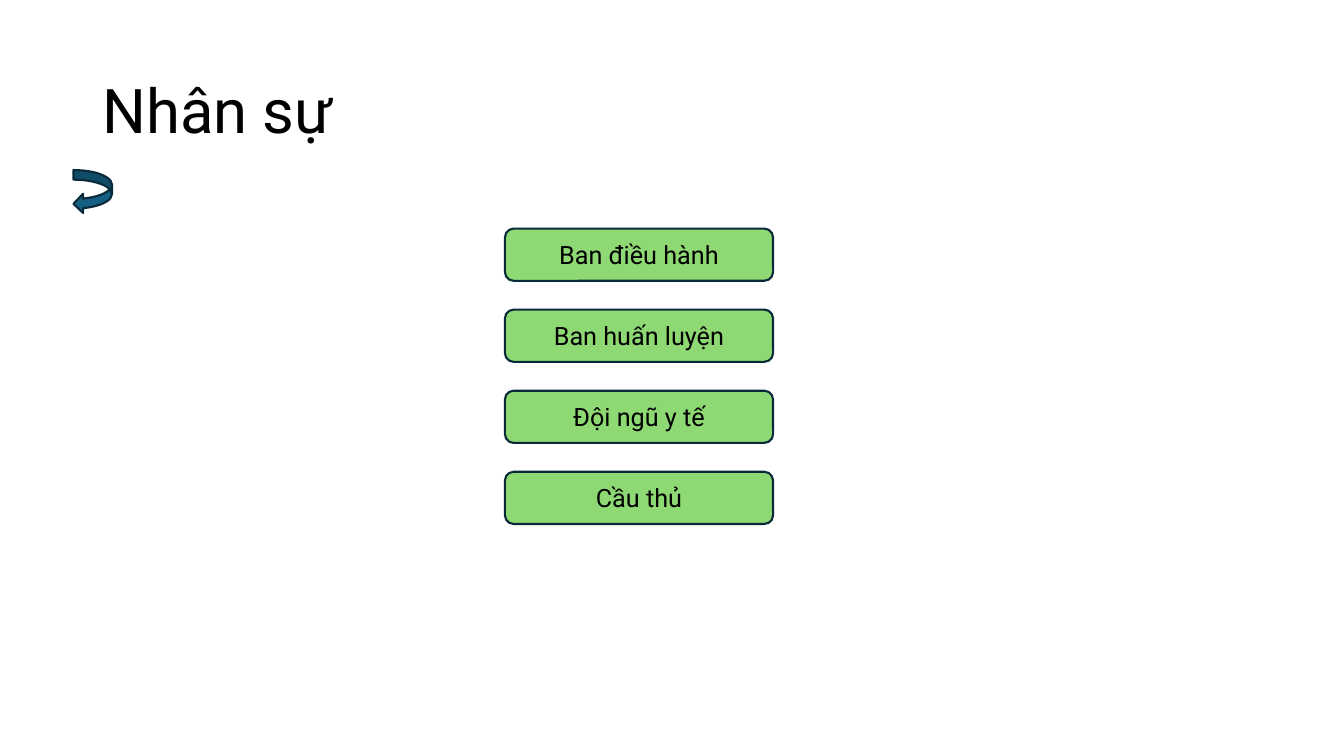
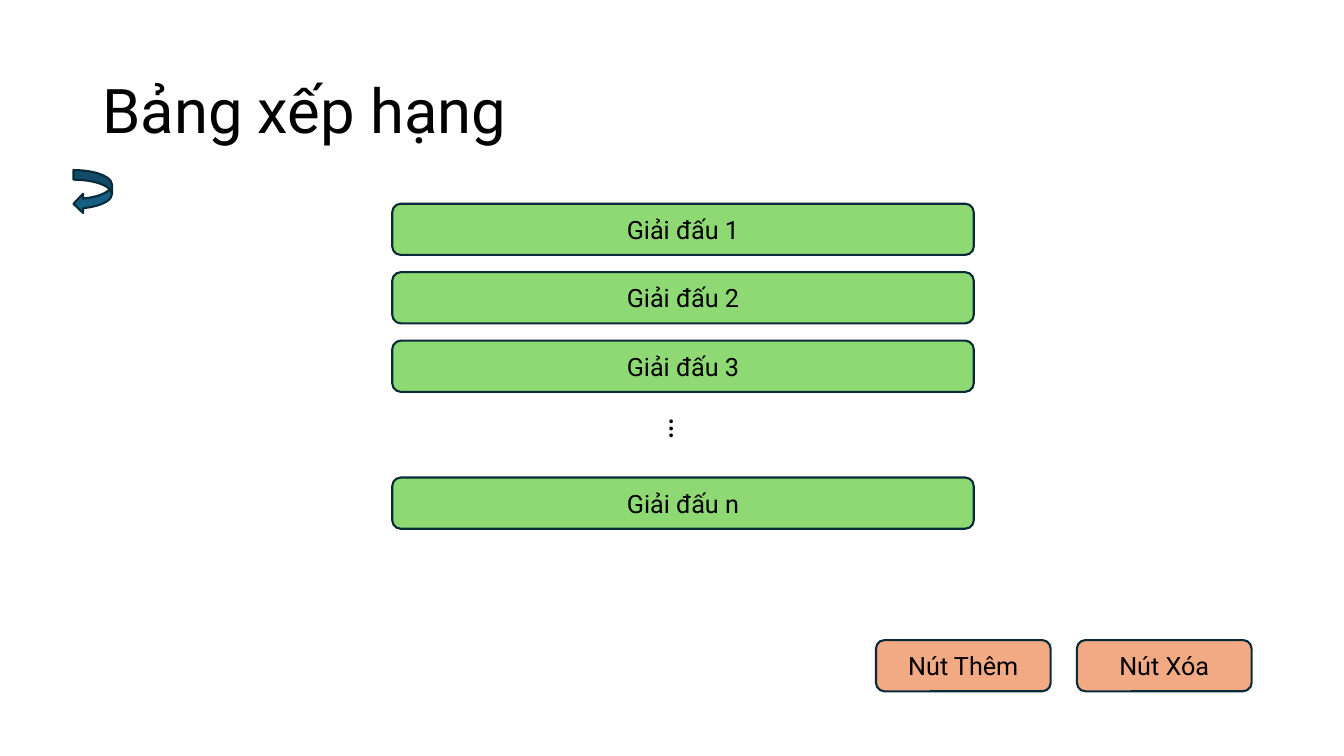
from pptx import Presentation
from pptx.dml.color import RGBColor
from pptx.enum.shapes import MSO_SHAPE
from pptx.enum.text import MSO_ANCHOR, PP_ALIGN
from pptx.util import Pt

ROUNDED = MSO_SHAPE.ROUNDED_RECTANGLE
BACK_ARROW = MSO_SHAPE.CURVED_LEFT_ARROW
MIDDLE = MSO_ANCHOR.MIDDLE
TOP = MSO_ANCHOR.TOP
CENTER = PP_ALIGN.CENTER
LEFT = PP_ALIGN.LEFT


def color(value):
    return RGBColor.from_string(value)


class Deck:
    FONT = "Roboto"
    TEXT = "000000"
    OUTLINE = "092A39"
    ARROW = "156082"
    GREEN = "8ED973"
    ORANGE = "F2AA84"

    def __init__(self):
        self.presentation = Presentation()
        self.presentation.slide_width = Pt(960)
        self.presentation.slide_height = Pt(540)
        self.slide = None

    def add_slide(self, title):
        self.slide = self.presentation.slides.add_slide(self.presentation.slide_layouts[6])
        self.label(title, 66, 28.8, 828, 104.4, 44, MIDDLE, 0.9)

    def set_text(self, shape, text, size, anchor, alignment):
        frame = shape.text_frame
        frame.word_wrap = True
        frame.vertical_anchor = anchor
        paragraph = frame.paragraphs[0]
        paragraph.text = text
        paragraph.alignment = alignment
        paragraph.font.name = self.FONT
        paragraph.font.size = Pt(size)
        paragraph.font.color.rgb = color(self.TEXT)
        return paragraph

    def label(self, text, left, top, width, height, size, anchor=TOP, spacing=1.0):
        box = self.slide.shapes.add_textbox(Pt(left), Pt(top), Pt(width), Pt(height))
        self.set_text(box, text, size, anchor, LEFT).line_spacing = spacing
        return box

    def shape(self, kind, left, top, width, height, fill):
        shape = self.slide.shapes.add_shape(kind, Pt(left), Pt(top), Pt(width), Pt(height))
        shape.shadow.inherit = False
        shape.fill.solid()
        shape.fill.fore_color.rgb = color(fill)
        shape.line.color.rgb = color(self.OUTLINE)
        shape.line.width = Pt(1.5)
        return shape

    def button(self, text, left, top, width, height, fill):
        shape = self.shape(ROUNDED, left, top, width, height, fill)
        self.set_text(shape, text, 18, MIDDLE, CENTER)

    def button_column(self, rows, left, top, width, height, step):
        for row, text in rows:
            self.button(text, left, top + row * step, width, height, self.GREEN)

    def back_arrow(self):
        self.shape(BACK_ARROW, 52.5, 121.5, 27.5, 31, self.ARROW)


def staff_slide(deck):
    deck.add_slide("Nhân sự")
    groups = ["Ban điều hành", "Ban huấn luyện", "Đội ngũ y tế", "Cầu thủ"]
    deck.button_column(enumerate(groups), 360.7, 163.3, 191.5, 37.3, 57.9)
    deck.back_arrow()


def standings_slide(deck):
    deck.add_slide("Bảng xếp hạng")
    leagues = [(0, "Giải đấu 1"), (1, "Giải đấu 2"), (2, "Giải đấu 3"), (4, "Giải đấu n")]
    deck.button_column(leagues, 280.2, 145.5, 415.4, 36.6, 48.9)
    ellipsis = deck.label("…", 469.5, 291.6, 36.7, 36, 24)
    ellipsis.rotation = 90
    for column, text in enumerate(["Nút Thêm", "Nút Xóa"]):
        deck.button(text, 625.7 + column * 143.5, 457.2, 124.8, 36.6, deck.ORANGE)
    deck.back_arrow()


def main():
    deck = Deck()
    staff_slide(deck)
    standings_slide(deck)
    deck.presentation.save("out.pptx")


if __name__ == "__main__":
    main()
